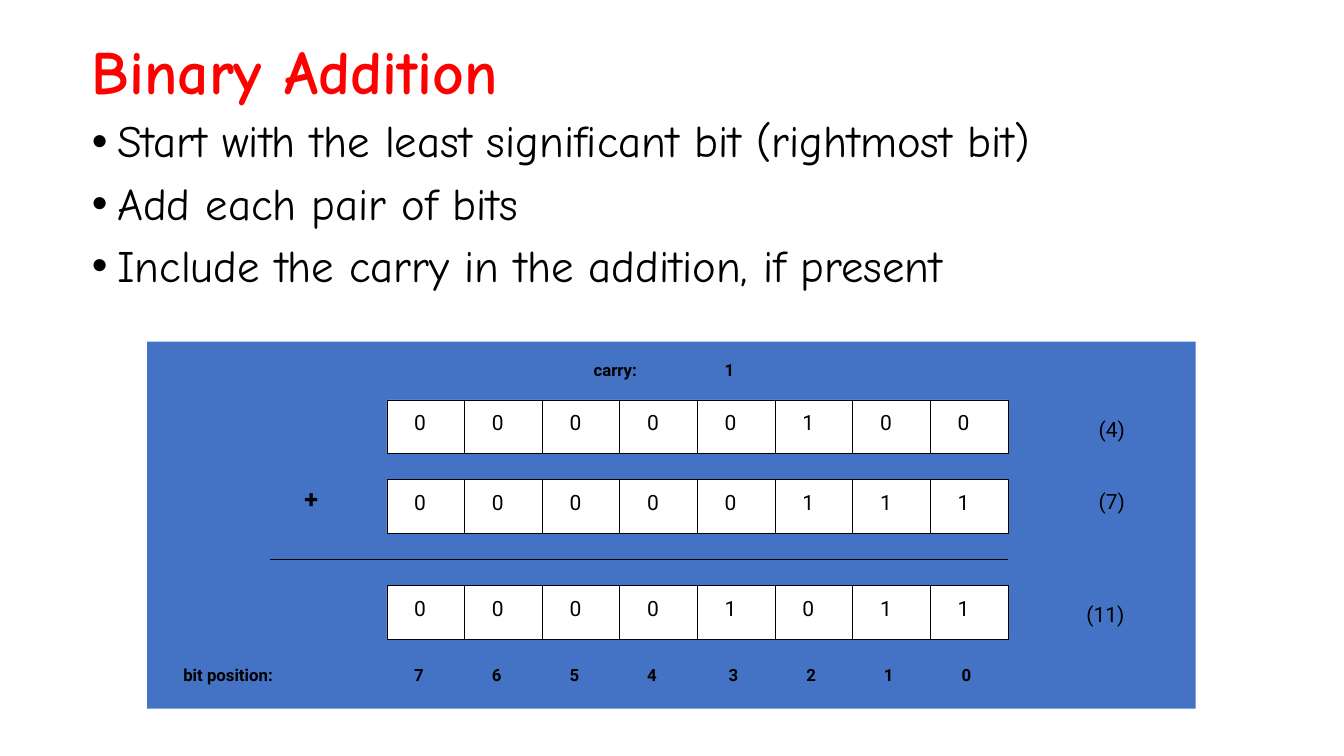
from lxml import etree
from pptx import Presentation
from pptx.dml.color import RGBColor
from pptx.enum.shapes import MSO_CONNECTOR, MSO_SHAPE
from pptx.enum.text import MSO_ANCHOR, MSO_AUTO_SIZE, PP_ALIGN
from pptx.oxml.ns import qn
from pptx.util import Cm, Pt

RECT = MSO_SHAPE.RECTANGLE
STRAIGHT = MSO_CONNECTOR.STRAIGHT
LEFT = PP_ALIGN.LEFT
TOP, MIDDLE = MSO_ANCHOR.TOP, MSO_ANCHOR.MIDDLE
FIXED, GROW = MSO_AUTO_SIZE.NONE, MSO_AUTO_SIZE.SHAPE_TO_FIT_TEXT

COLORS = {"title": "FF0000", "ink": "000000", "panel": "4472C4", "cell": "FFFFFF"}
HEADING, LABEL = "Comic Neue", "Roboto"

TITLE = "Binary Addition"
STEPS = [
    "Start with the least significant bit (rightmost bit)",
    "Add each pair of bits",
    "Include the carry in the addition, if present",
]
# bits, top of row, decimal value, left and top of value
ROWS = [
    ("00000100", 10.08, "(4)", 27.69, 10.49),
    ("00000111", 12.09, "(7)", 27.69, 12.32),
    ("00001011", 14.76, "(11)", 27.38, 15.16),
]
BITS = 8
GRID_X, GRID_W, CELL_H = 9.75, 15.65, 1.34
CELL_W = GRID_W / BITS
DIGIT_DX, DIGIT_DY = 0.69, 0.24
CARRY_Y, POSITION_Y, SUM_LINE_Y = 9.07, 16.74, 14.1
CARRY_COLUMN = 4


def rgb(name):
    return RGBColor.from_string(COLORS[name])


def set_all(target, values):
    for name, value in values.items():
        setattr(target, name, value)


class SlideBuilder:
    def __init__(self, prs):
        self.s = prs.slides.add_slide(prs.slide_layouts[1])
        self.diagram = self.s.shapes.add_group_shape().shapes

    def add_text(self, p, text, size, font=LABEL, color="ink", bold=False):
        r = p.add_run()
        r.text = text
        set_all(r.font, {"name": font, "size": Pt(size), "bold": bold})
        r.font.color.rgb = rgb(color)

    def place(self, sp, x, y, w, h, anchor):
        """Move a placeholder and fix its text frame."""
        set_all(sp, {"left": Cm(x), "top": Cm(y), "width": Cm(w), "height": Cm(h)})
        tf = sp.text_frame
        set_all(tf, {"auto_size": FIXED, "word_wrap": True, "vertical_anchor": anchor})
        return tf

    def title(self, text, *box):
        p = self.place(self.s.shapes.title, *box, MIDDLE).paragraphs[0]
        set_all(p, {"alignment": LEFT, "line_spacing": 0.9})
        self.add_text(p, text, 44, HEADING, "title", True)

    def bullets(self, items, *box):
        tf = self.place(self.s.placeholders[1], *box, TOP)
        for i, item in enumerate(items):
            p = tf.add_paragraph() if i else tf.paragraphs[0]
            set_all(p, {"alignment": LEFT, "line_spacing": 0.9,
                        "space_before": Pt(10 if i else 0)})
            pPr = p._p.get_or_add_pPr()
            pPr.set("marL", str(Cm(0.64)))
            pPr.set("indent", str(-Cm(0.64)))
            etree.SubElement(pPr, qn("a:buFont")).set("typeface", "Arial")
            etree.SubElement(pPr, qn("a:buChar")).set("char", "•")
            self.add_text(p, item, 32, HEADING)

    def rect(self, x, y, w, h, fill, line=None):
        sp = self.diagram.add_shape(RECT, Cm(x), Cm(y), Cm(w), Cm(h))
        sp.shadow.inherit = False
        sp.fill.solid()
        sp.fill.fore_color.rgb = rgb(fill)
        if line:
            sp.line.color.rgb = rgb(line)
            sp.line.width = Pt(0.38)
        else:
            sp.line.fill.background()

    def label(self, text, x, y, w, h=0.71, size=12, bold=True):
        sp = self.diagram.add_textbox(Cm(x), Cm(y), Cm(w), Cm(h))
        tf = sp.text_frame
        set_all(tf, {"margin_left": 0, "margin_right": 0, "margin_top": 0,
                     "margin_bottom": 0, "word_wrap": False, "auto_size": GROW})
        self.add_text(tf.paragraphs[0], text, size, bold=bold)

    def rule(self, x1, x2, y):
        line = self.diagram.add_connector(STRAIGHT, Cm(x1), Cm(y), Cm(x2), Cm(y))
        line.line.color.rgb = rgb("ink")
        line.line.width = Pt(1.13)
        etree.SubElement(line._element.spPr, qn("a:effectLst"))

    def bit_row(self, bits, y):
        for i, bit in enumerate(bits):
            x = GRID_X + i * CELL_W
            self.rect(x, y, CELL_W, CELL_H, "cell", "ink")
            self.label(bit, x + DIGIT_DX, y + DIGIT_DY, 0.61, 0.89, 15, False)


def main():
    prs = Presentation()
    prs.slide_width, prs.slide_height = Cm(33.87), Cm(19.05)
    b = SlideBuilder(prs)
    b.title(TITLE, 2.06, 0.03, 29.21, 3.68)
    b.bullets(STEPS, 2.06, 2.87, 28.02, 5.56)
    b.rect(3.71, 8.61, 26.42, 9.25, "panel")

    for bits, y, value, value_x, value_y in ROWS:
        b.bit_row(bits, y)
        b.label(value, value_x, value_y, 1.93, 0.89, 15, False)
    b.label("+", 7.67, 12.19, 0.76, 1.07, 18)
    b.rule(6.81, GRID_X + GRID_W, SUM_LINE_Y)

    digit_x = GRID_X + DIGIT_DX
    b.label("carry:", 14.96, CARRY_Y, 2.41)
    b.label("1", digit_x + CARRY_COLUMN * CELL_W, CARRY_Y, 0.48)
    b.label("bit position:", 4.62, POSITION_Y, 5.03)
    for i in range(BITS):
        nudge = 0.1 if i >= BITS // 2 else 0
        b.label(str(BITS - 1 - i), digit_x + i * CELL_W + nudge, POSITION_Y, 0.48)
    prs.save("out.pptx")


if __name__ == "__main__":
    main()
